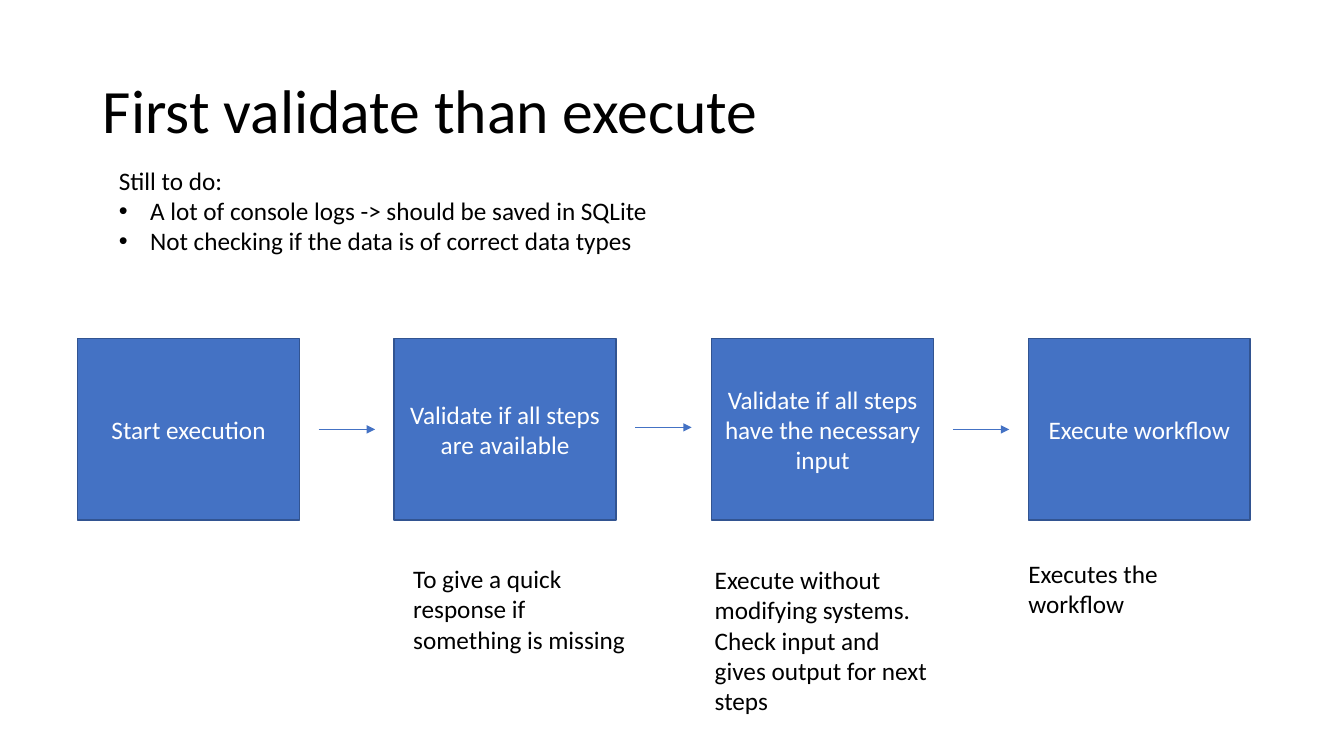
from lxml.etree import SubElement
from pptx import Presentation
from pptx.dml.color import RGBColor
from pptx.enum.shapes import MSO_CONNECTOR, MSO_SHAPE
from pptx.enum.text import MSO_ANCHOR, MSO_AUTO_SIZE, PP_ALIGN
from pptx.oxml.ns import qn
from pptx.util import Emu, Pt

SCALE = 9144
STEPS = [
    ("Start execution", None, None),
    ("Validate if all steps are available",
     ["To give a quick response if something is missing"], (400, 554, 238, 101)),
    ("Validate if all steps have the necessary input",
     ["Execute without modifying systems.",
      "Check input and gives output for next steps"], (699, 555, 238, 162)),
    ("Execute workflow", ["Executes the workflow"], (1010, 549, 238, 71)),
]
ARROW_TOPS = [426, 424, 426]


def px(n):
    return Emu(n * SCALE)


def paint(target, color):
    if hasattr(target, "solid"):
        target.solid()
        target = target.fore_color
    target.rgb = RGBColor.from_string(color)


def place(shape, box):
    shape.left, shape.top, shape.width, shape.height = map(px, box)


def write(shape, lines, size=18, color="000000", align=PP_ALIGN.LEFT,
          anchor=MSO_ANCHOR.TOP, fit=MSO_AUTO_SIZE.NONE, space=1.0, bullets=()):
    frame = shape.text_frame
    frame.word_wrap = True
    frame.auto_size = fit
    frame.vertical_anchor = anchor
    for i, line in enumerate(lines):
        para = frame.paragraphs[0] if i == 0 else frame.add_paragraph()
        para.alignment = align
        para.line_spacing = space
        run = para.add_run()
        run.text = line
        run.font.size = Pt(size)
        run.font.name = "Calibri"
        paint(run.font.color, color)
        if i in bullets:
            props = para._p.get_or_add_pPr()
            props.set("marL", str(px(31)))
            props.set("indent", str(px(-31)))
            SubElement(props, qn("a:buFont"), typeface="Arial")
            SubElement(props, qn("a:buChar"), char="•")


def add_title(slide, box):
    title = slide.shapes.title
    place(title, box)
    write(title, ["First validate than execute"], size=44,
          anchor=MSO_ANCHOR.MIDDLE, space=0.9)


def add_note(slide, box, lines, **style):
    note = slide.shapes.add_textbox(*map(px, box))
    write(note, lines, fit=MSO_AUTO_SIZE.SHAPE_TO_FIT_TEXT, **style)


def add_step(slide, box, label):
    step = slide.shapes.add_shape(MSO_SHAPE.RECTANGLE, *map(px, box))
    step.shadow.inherit = False
    paint(step.fill, "4472C4")
    paint(step.line.fill, "325491")
    step.line.width = Pt(1)
    write(step, [label], color="FFFFFF", align=PP_ALIGN.CENTER,
          anchor=MSO_ANCHOR.MIDDLE)


def add_arrow(slide, left, top, width):
    arrow = slide.shapes.add_connector(
        MSO_CONNECTOR.STRAIGHT, px(left), px(top), px(left + width), px(top))
    paint(arrow.line.fill, "4472C4")
    arrow.line.width = Pt(0.5)
    SubElement(arrow.line._get_or_add_ln(), qn("a:tailEnd"), type="triangle")
    SubElement(arrow._element.spPr, qn("a:effectLst"))


def add_flow(slide, box):
    left, top, width, height = box
    wide = 220
    pitch = (width - wide) / (len(STEPS) - 1)
    for i, (label, note, spot) in enumerate(STEPS):
        x = left + round(i * pitch)
        add_step(slide, (x, top, wide, height), label)
        if i < len(ARROW_TOPS):
            add_arrow(slide, x + wide + 19, ARROW_TOPS[i], 56)
        if note:
            add_note(slide, spot, note)


def main():
    deck = Presentation()
    deck.slide_width, deck.slide_height = px(1333), px(750)
    slide = deck.slides.add_slide(deck.slide_layouts[5])
    paint(slide.background.fill, "FFFFFF")
    add_title(slide, (92, 40, 1150, 145))
    add_flow(slide, (77, 336, 1163, 180))
    add_note(slide, (108, 159, 621, 131),
             ["Still to do:",
              "A lot of console logs -> should be saved in SQLite",
              "Not checking if the data is of correct data types"],
             bullets=(1, 2))
    deck.save("out.pptx")


if __name__ == "__main__":
    main()
